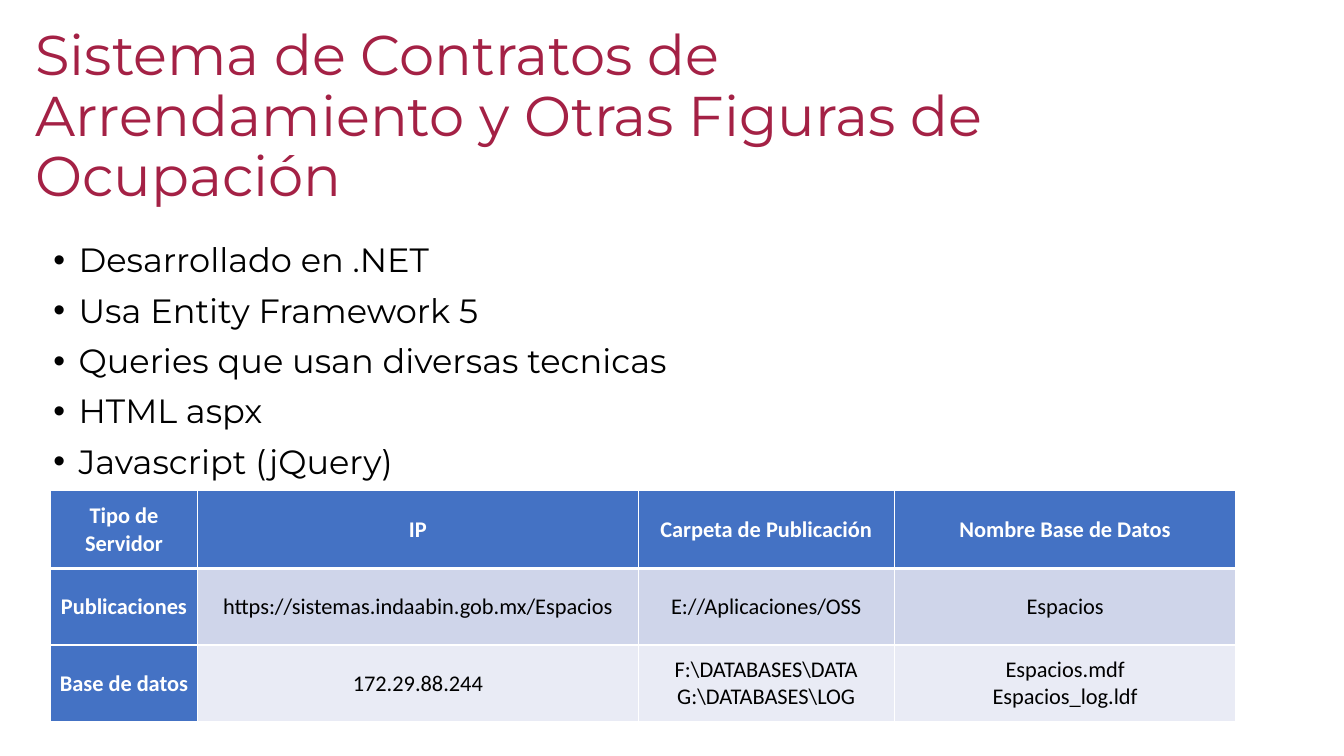
"""Builds the slide that describes the lease contract system and its servers."""
from lxml.etree import SubElement
from pptx import Presentation
from pptx.dml.color import RGBColor
from pptx.enum.text import MSO_ANCHOR, MSO_AUTO_SIZE, PP_ALIGN
from pptx.oxml.ns import qn
from pptx.util import Emu, Pt

EMU_PER_PX = 9144
WINE = RGBColor(0xA4, 0x21, 0x45)
BLACK = RGBColor(0x00, 0x00, 0x00)
WHITE = RGBColor(0xFF, 0xFF, 0xFF)
BLUE = RGBColor(0x44, 0x72, 0xC4)
BANDS = [RGBColor(0xCF, 0xD5, 0xEA), RGBColor(0xE9, 0xEB, 0xF5)]

TITLE = "Sistema de Contratos de Arrendamiento y Otras Figuras de Ocupación"
FEATURES = [
    "Desarrollado en .NET",
    "Usa Entity Framework 5",
    "Queries que usan diversas tecnicas",
    "HTML aspx",
    "Javascript (jQuery)",
]
SERVERS = [
    ["Tipo de Servidor", "IP", "Carpeta de Publicación", "Nombre Base de Datos"],
    ["Publicaciones", "https://sistemas.indaabin.gob.mx/Espacios",
     "E://Aplicaciones/OSS", "Espacios"],
    ["Base de datos", "172.29.88.244",
     "F:\\DATABASES\\DATA\nG:\\DATABASES\\LOG", "Espacios.mdf\nEspacios_log.ldf"],
]
COLUMN_WIDTHS = [146, 437, 254, 339]
ROW_HEIGHTS = [77, 76, 76]


def px(length):
    """Turn a length in px into EMU."""
    return Emu(length * EMU_PER_PX)


def style_font(paragraph, name, size, color, bold=False):
    """Set the font of a whole paragraph."""
    font = paragraph.font
    font.name, font.size, font.bold = name, Pt(size), bold
    font.color.rgb = color


def add_bullet(paragraph):
    """Give a paragraph a round bullet with a hanging indent."""
    properties = paragraph._p.get_or_add_pPr()
    properties.set("marL", str(px(25)))
    properties.set("indent", str(px(-25)))
    SubElement(properties, qn("a:buFont")).set("typeface", "Arial")
    SubElement(properties, qn("a:buChar")).set("char", "•")


def fill_placeholder(box, area, lines, size, color, bulleted=False):
    """Move a placeholder and write one paragraph per line in it."""
    box.left, box.top, box.width, box.height = map(px, area)
    frame = box.text_frame
    frame.text = "\n".join(lines)
    frame.word_wrap = True
    frame.auto_size = MSO_AUTO_SIZE.NONE
    frame.vertical_anchor = MSO_ANCHOR.TOP
    for index, paragraph in enumerate(frame.paragraphs):
        paragraph.alignment = PP_ALIGN.LEFT
        paragraph.line_spacing = 0.9
        paragraph.space_before = Pt(10 if index else 0)
        if bulleted:
            add_bullet(paragraph)
        style_font(paragraph, "Montserrat", size, color)


def add_border(cell, side, points):
    """Draw a white line on one side of a cell."""
    line = SubElement(cell._tc.get_or_add_tcPr(), qn(f"a:ln{side}"), w=str(Pt(points)))
    fill = SubElement(line, qn("a:solidFill"))
    SubElement(fill, qn("a:srgbClr"), val=str(WHITE))


def fill_cell(cell, text, row, column):
    """Write and format a cell according to its place in the table."""
    is_heading = row == 0 or column == 0
    cell.text = text
    cell.vertical_anchor = MSO_ANCHOR.MIDDLE
    cell.margin_left = cell.margin_right = px(5)
    cell.margin_top = cell.margin_bottom = 0
    widths = {"L": 1, "R": 1, "T": 3 if row == 1 else 1, "B": 3 if row == 0 else 1}
    for side, points in widths.items():
        add_border(cell, side, points)
    cell.fill.solid()
    cell.fill.fore_color.rgb = BLUE if is_heading else BANDS[row - 1]
    for paragraph in cell.text_frame.paragraphs:
        paragraph.alignment = PP_ALIGN.CENTER
        style_font(paragraph, "Calibri", 16, WHITE if is_heading else BLACK, is_heading)


def add_server_table(page, left, top):
    """Add the table of servers."""
    size = px(sum(COLUMN_WIDTHS)), px(sum(ROW_HEIGHTS))
    table = page.shapes.add_table(
        len(ROW_HEIGHTS), len(COLUMN_WIDTHS), px(left), px(top), *size).table
    table.first_col = True
    for column, width in zip(table.columns, COLUMN_WIDTHS):
        column.width = px(width)
    for row, height in zip(table.rows, ROW_HEIGHTS):
        row.height = px(height)
    for row, texts in enumerate(SERVERS):
        for column, text in enumerate(texts):
            fill_cell(table.cell(row, column), text, row, column)


def main():
    """Build and save the deck."""
    deck = Presentation()
    deck.slide_width, deck.slide_height = px(1333), px(750)
    page = deck.slides.add_slide(deck.slide_layouts[1])
    fill_placeholder(page.shapes.title, (25, 22, 1123, 180), [TITLE], 40, WINE)
    fill_placeholder(page.placeholders[1], (43, 237, 1199, 260), FEATURES, 24, BLACK,
                     bulleted=True)
    add_server_table(page, 50, 487)
    deck.save("out.pptx")


if __name__ == "__main__":
    main()
